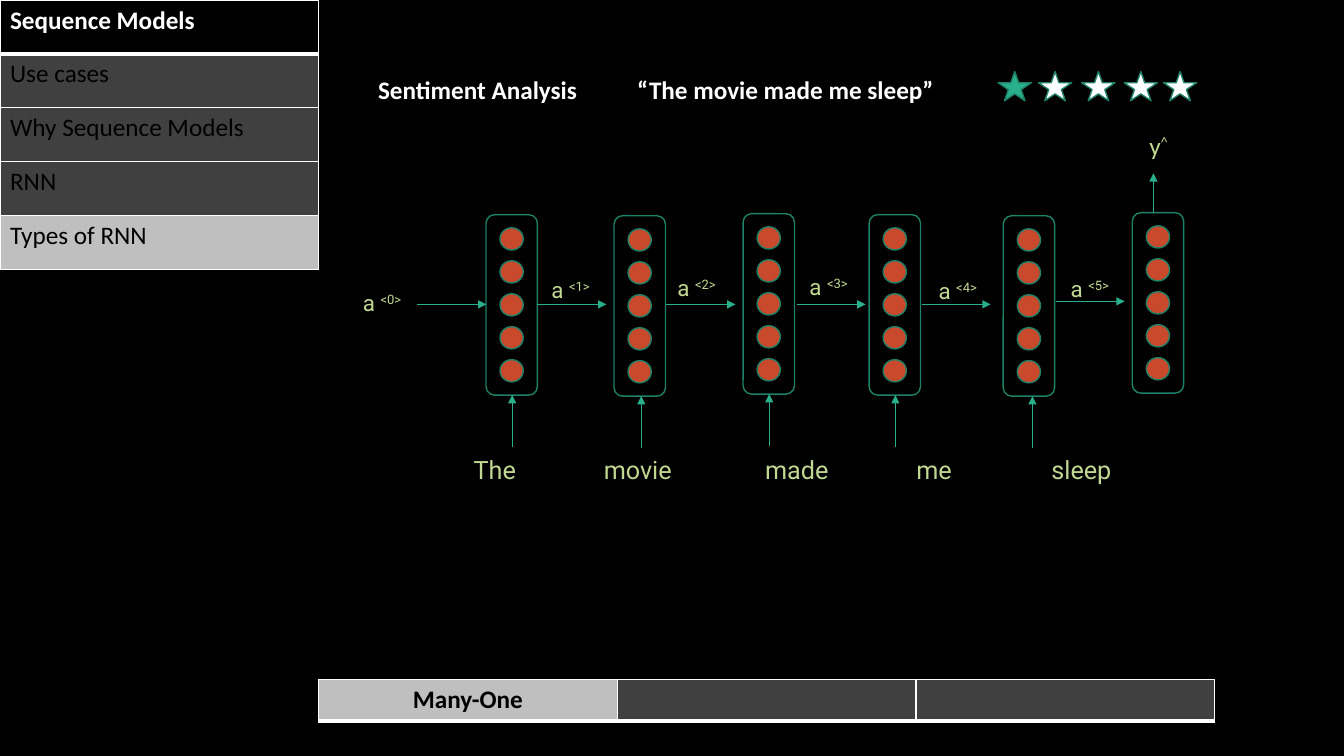
from lxml import etree
from pptx import Presentation
from pptx.dml.color import RGBColor
from pptx.enum.shapes import MSO_CONNECTOR, MSO_SHAPE
from pptx.enum.text import MSO_ANCHOR, PP_ALIGN
from pptx.oxml.ns import qn
from pptx.util import Inches, Pt

STRAIGHT = MSO_CONNECTOR.STRAIGHT
STAR, CELL, NEURON = MSO_SHAPE.STAR_5_POINT, MSO_SHAPE.ROUNDED_RECTANGLE, MSO_SHAPE.OVAL
LEFT, CENTER = PP_ALIGN.LEFT, PP_ALIGN.CENTER
TOP, MIDDLE = MSO_ANCHOR.TOP, MSO_ANCHOR.MIDDLE
PLAIN_TABLE = "{2D5ABB26-0587-4C30-8999-92F81FD0307C}"
COLORS = {
    "black": "000000", "white": "FFFFFF", "dim": "404040", "active": "BFBFBF",
    "teal": "29AF8C", "outline": "1E8168", "neuron": "C9492C", "label": "C1D892",
}
CELL_WIDTH, CELL_HEIGHT = 0.51, 1.79


def rgb(name):
    """Return the named colour."""
    return RGBColor.from_string(COLORS[name])


def write(frame, text, sup="", size=18, font="Calibri", color="label", bold=False, align=LEFT):
    """Write text, with an optional superscript, into the first paragraph."""
    paragraph = frame.paragraphs[0]
    paragraph.alignment = align
    for part, raised in ((text, False), (sup, True)):
        if part:
            run = paragraph.add_run()
            run.text = part
            run.font.size, run.font.name, run.font.bold = Pt(size), font, bold
            run.font.color.rgb = rgb(color)
            if raised:
                run.font._element.set("baseline", "30000")
    return paragraph


def add_label(slide, box, text, **style):
    """Add a text box in the given box."""
    frame = slide.shapes.add_textbox(*map(Inches, box)).text_frame
    frame.word_wrap = True
    return write(frame, text, **style)


def add_outlined(shapes, kind, box, fill=None):
    """Add a preset shape with the common outline."""
    shape = shapes.add_shape(kind, *map(Inches, box))
    shape.shadow.inherit = False
    if fill:
        shape.fill.solid()
        shape.fill.fore_color.rgb = rgb(fill)
    else:
        shape.fill.background()
    shape.line.color.rgb = rgb("outline")
    shape.line.width = Pt(1)


def add_arrow(slide, start, end):
    """Add a thin arrow between two points."""
    arrow = slide.shapes.add_connector(STRAIGHT, *map(Inches, start + end))
    arrow.line.color.rgb = rgb("teal")
    arrow.line.width = Pt(0.5)
    etree.SubElement(arrow.line._get_or_add_ln(), qn("a:tailEnd"), type="triangle")
    etree.SubElement(arrow._element.spPr, qn("a:effectLst"))


def add_borders(cell, bottom):
    """Give a table cell white borders."""
    properties = cell._tc.get_or_add_tcPr()
    sides = (("L", 1), ("R", 1), ("T", 1), ("B", bottom))
    for index, (side, width) in enumerate(sides):
        border = etree.Element(qn(f"a:ln{side}"), w=str(Pt(width)))
        fill = etree.SubElement(border, qn("a:solidFill"))
        etree.SubElement(fill, qn("a:srgbClr"), val=COLORS["white"])
        properties.insert(index, border)


def add_plain_table(slide, left, top, widths, heights):
    """Add a table without style and return it."""
    frame = slide.shapes.add_table(
        len(heights), len(widths), Inches(left), Inches(top),
        Inches(sum(widths)), Inches(sum(heights)))
    table = frame.table
    table._tbl.tblPr.find(qn("a:tableStyleId")).text = PLAIN_TABLE
    table.first_row = table.horz_banding = False
    for column, width in zip(table.columns, widths):
        column.width = Inches(width)
    for row, height in zip(table.rows, heights):
        row.height = Inches(height)
    return table


def fill_cell(cell, text, fill=None, bottom=None, anchor=TOP, **style):
    """Set a cell's text, fill and borders."""
    cell.vertical_anchor = anchor
    if text:
        write(cell.text_frame, text, **style)
    if fill:
        cell.fill.solid()
        cell.fill.fore_color.rgb = rgb(fill)
    else:
        cell.fill.background()
    if bottom:
        add_borders(cell, bottom)


def add_agenda(slide, left, top, width, row_height):
    """Add the agenda with its active topic."""
    topics = (("Sequence Models", "black"), ("Use cases", "dim"),
              ("Why Sequence Models", "dim"), ("RNN", "dim"), ("Types of RNN", "active"))
    agenda = add_plain_table(slide, left, top, [width], [row_height] * len(topics))
    for row, (topic, fill) in enumerate(topics):
        header = row == 0
        fill_cell(agenda.cell(row, 0), topic, fill, bottom=3 if header else 1,
                  color="white" if header else "black", bold=header)


def add_type_bar(slide, left, top, width, height):
    """Add the bar of network types."""
    types = (("Many-One", "active"), ("", "dim"), ("", "dim"))
    bar = add_plain_table(slide, left, top, [width / len(types)] * len(types), [height])
    for column, (name, fill) in enumerate(types):
        fill_cell(bar.cell(0, column), name, fill, bottom=3,
                  color="black", bold=True, align=CENTER)


def add_example(slide, left, top, height):
    """Add the example sentence and its star rating."""
    example = add_plain_table(slide, left, top, [2.57, 3.38, 2.96], [height])
    for column, text in enumerate(("Sentiment Analysis", "“The movie made me sleep”", "")):
        fill_cell(example.cell(0, column), text, anchor=MIDDLE, color="white", bold=True)
    for index, offset in enumerate((6.25, 6.65, 7.08, 7.5, 7.89)):
        add_outlined(slide.shapes, STAR, (left + offset, top + 0.21, 0.33, 0.29),
                     "white" if index else "teal")


def add_layer(slide, left, top):
    """Add one recurrent cell with five neurons."""
    shapes = slide.shapes.add_group_shape().shapes
    add_outlined(shapes, CELL, (left, top, CELL_WIDTH, CELL_HEIGHT))
    for index in range(5):
        add_outlined(shapes, NEURON,
                     (left + 0.14, top + 0.13 + index * 0.327, 0.23, 0.22), "neuron")


def add_network(slide, left, top):
    """Add the unrolled network, its inputs, activations and output."""
    layers = ((1.32, 0.02), (2.59, 0.03), (3.87, 0.01),
              (5.12, 0.02), (6.45, 0.03), (7.73, 0))
    for x, y in layers:
        add_layer(slide, left + x, top + y)

    for (_, y), x in zip(layers, (1.58, 2.86, 4.13, 5.38, 6.74)):
        tip = top + y + CELL_HEIGHT
        add_arrow(slide, (left + x, tip + 0.51), (left + x, tip))

    words = ("The", "movie", "made", "me", "sleep")
    sentence = add_label(slide, (left + 0.93, top + 2.35, 7.69, 0.4),
                         "".join("\t" + word for word in words), font="Roboto")
    tabs = etree.SubElement(sentence._p.get_or_add_pPr(), qn("a:tabLst"))
    for stop in (0.17, 1.46, 3.06, 4.56, 5.9):
        etree.SubElement(tabs, qn("a:tab"), pos=str(Inches(stop)), algn="l")

    activations = ((0.64, 0.91, 0, 0.71), (1.83, 0.91, 1.87, 0.58),
                   (3.11, 0.91, 3.12, 0.56), (4.4, 0.91, 4.43, 0.55),
                   (5.64, 0.91, 5.71, 0.59), (6.97, 0.88, 7.02, 0.57))
    for step, (x, y, label_x, label_y) in enumerate(activations):
        add_arrow(slide, (left + x, top + y), (left + x + 0.685, top + y))
        add_label(slide, (left + label_x, top + label_y, 0.58, 0.37),
                  "a ", sup=f"<{step}>", size=16, font="Roboto")

    add_arrow(slide, (left + 7.94, top), (left + 7.94, top - 0.39))
    add_label(slide, (left + 7.8, top - 0.87, 0.41, 0.4), "y", sup="^")


def main():
    """Build and save the slide."""
    deck = Presentation()
    deck.slide_width, deck.slide_height = Inches(13.33), Inches(7.5)
    slide = deck.slides.add_slide(deck.slide_layouts[6])
    slide.background.fill.solid()
    slide.background.fill.fore_color.rgb = rgb("black")
    add_agenda(slide, 0, 0, 3.16, 0.535)
    add_type_bar(slide, 3.16, 6.74, 8.89, 0.41)
    add_example(slide, 3.65, 0.5, 0.8)
    add_network(slide, 3.5, 2.11)
    deck.save("out.pptx")


if __name__ == "__main__":
    main()
